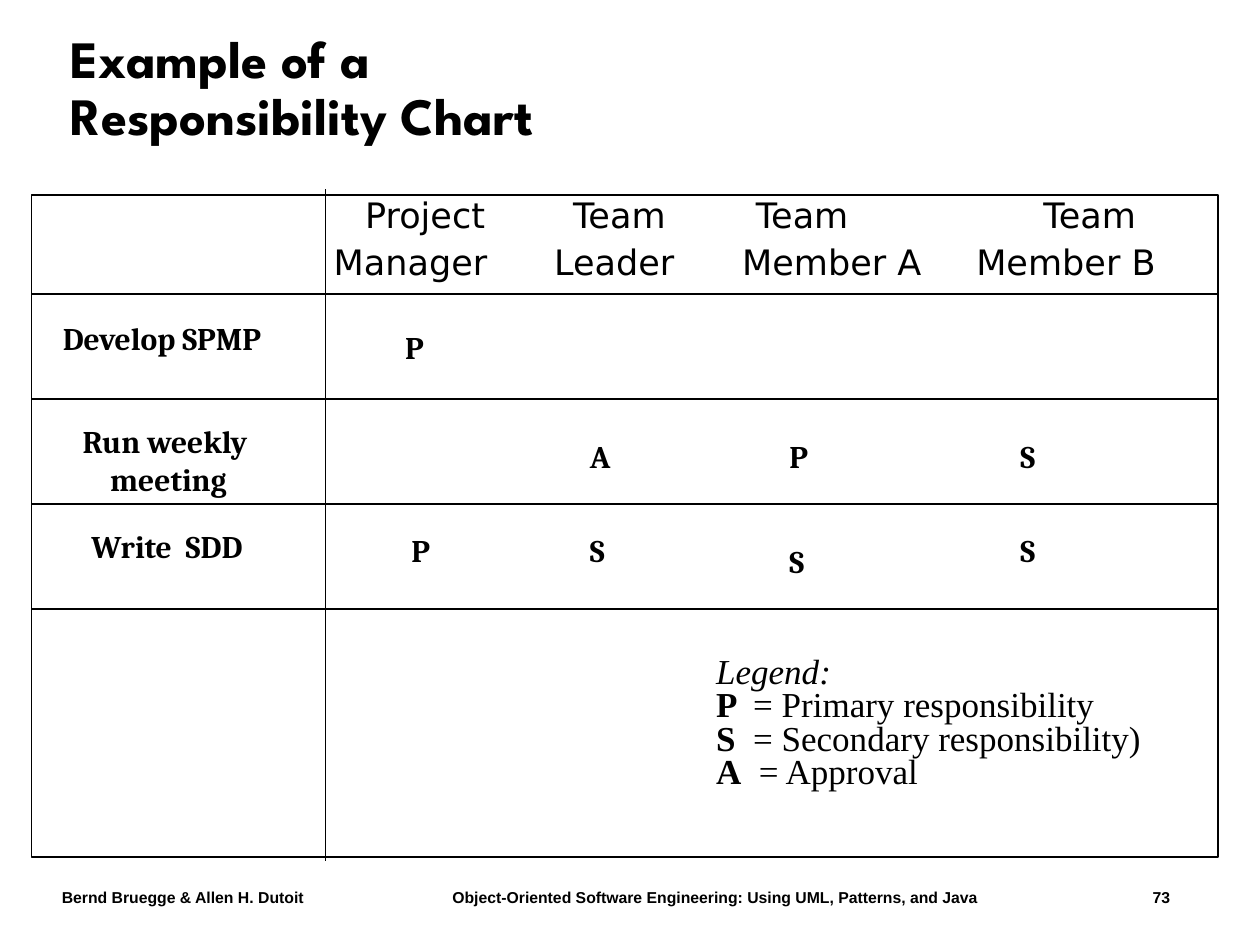
from lxml.etree import SubElement
from pptx import Presentation
from pptx.dml.color import RGBColor
from pptx.enum.shapes import MSO_CONNECTOR as Connector, MSO_SHAPE as Shape
from pptx.enum.text import MSO_ANCHOR as Anchor, MSO_AUTO_SIZE as AutoSize, PP_ALIGN as Align
from pptx.oxml.ns import qn
from pptx.util import Inches, Pt

BLACK = RGBColor(0, 0, 0)
SLIDE_W, SLIDE_H = Inches(10), Inches(7.5)
UNIT = SLIDE_W / 120  # the slide is a grid of 120 columns by 90 rows

TITLE_FONT = {"name": "League Spartan", "size": Pt(30), "bold": True}
HEADER_FONT = {"name": "DejaVu Sans", "size": Pt(20), "bold": False}
BODY_FONT = {"name": "Cambria", "size": Pt(18), "bold": True}
LEGEND_FONT = {"name": "Times New Roman", "size": Pt(20)}
FOOTER_FONT = {"name": "Arial", "size": Pt(9), "bold": True}
TIGHT = {"line_spacing": 0.8}

# Each heading line: its words and the columns where they start, from the text's edge
HEADINGS = [
    (("Project", "Team", "Team", "Team"), (30.6, 50.4, 67.8, 95.2)),
    (("Manager", "Leader", "Member A", "Member B"), (27.6, 48.6, 66.5, 88.8)),
]
ROW_LINES = (28, 38, 48, 58)
TASKS = [  # lines, column, row, width, height, alignment
    (["Develop SPMP"], 4.8, 29.8, 23.3, 4.8, Align.LEFT),
    (["Run weekly ", "meeting"], 6.2, 39.6, 19.7, 8.4, Align.CENTER),
    (["Write  SDD"], 6.7, 49.6, 18.4, 4.8, Align.CENTER),
]
MARKS = [  # letter, column, row
    ("P", 37.4, 30.7),
    ("A", 55, 41), ("P", 74, 41), ("S", 96, 41),
    ("P", 38, 50), ("S", 55, 50), ("S", 74, 51), ("S", 96, 50),
]
LEGEND = [("P ", " = Primary responsibility"),
          ("S ", " = Secondary responsibility)"),
          ("A", "  = Approval")]


def grid(*cells):
    return [round(cell * UNIT) for cell in cells]


def apply(target, values):
    for key, value in values.items():
        setattr(target, key, value)


def add_run(paragraph, text, font, **extra):
    run = paragraph.add_run()
    run.text = text
    apply(run.font, {**font, **extra})
    run.font.color.rgb = BLACK


def next_paragraph(frame, number, **values):
    paragraph = frame.add_paragraph() if number else frame.paragraphs[0]
    apply(paragraph, values)
    return paragraph


def set_tabs(paragraph, columns):
    tabs = SubElement(paragraph._p.get_or_add_pPr(), qn("a:tabLst"))
    for position in grid(*columns):
        SubElement(tabs, qn("a:tab"), pos=str(position), algn="l")


def add_text_box(slide, box, wrap=True):
    frame = slide.shapes.add_textbox(*grid(*box)).text_frame
    frame.word_wrap = wrap
    return frame


def add_label(slide, box, lines, align=Align.LEFT):
    frame = add_text_box(slide, box, wrap=False)
    for number, line in enumerate(lines):
        add_run(next_paragraph(frame, number, alignment=align), line, BODY_FONT)


def add_rule(slide, start, end):
    rule = slide.shapes.add_connector(Connector.STRAIGHT, *grid(*start, *end))
    rule.line.color.rgb = BLACK
    rule.line.width = Pt(1)
    SubElement(rule._element.spPr, qn("a:effectLst"))


def add_title(slide, box):
    title = slide.shapes.title
    apply(title, dict(zip(("left", "top", "width", "height"), grid(*box))))
    frame = title.text_frame
    apply(frame, {"auto_size": AutoSize.NONE, "vertical_anchor": Anchor.MIDDLE,
                  "word_wrap": True})
    frame.text = "Example of a \vResponsibility Chart"
    paragraph = frame.paragraphs[0]
    apply(paragraph, {"alignment": Align.LEFT, "line_spacing": 0.9})
    for run in paragraph.runs:
        apply(run.font, TITLE_FONT)
        run.font.color.rgb = BLACK


def add_chart_frame(slide, box):
    left, top, width, height = box
    outline = slide.shapes.add_shape(Shape.RECTANGLE, *grid(*box))
    outline.shadow.inherit = False
    outline.fill.background()
    outline.line.color.rgb = BLACK
    outline.line.width = Pt(1)

    # Column headings
    frame = outline.text_frame
    frame.vertical_anchor = Anchor.TOP
    for number, (words, columns) in enumerate(HEADINGS):
        paragraph = next_paragraph(frame, number, alignment=Align.LEFT,
                                   space_before=Pt(7.5), **TIGHT)
        set_tabs(paragraph, columns)
        add_run(paragraph, "\t" + "\t".join(words), HEADER_FONT)

    # Task column edge and row lines
    edge = left + 28
    add_rule(slide, (edge, top - 0.6), (edge, top + height + 0.4))
    for row in ROW_LINES:
        add_rule(slide, (left, row), (left + width, row))


def add_assignments(slide):
    for lines, column, row, width, height, align in TASKS:
        add_label(slide, (column, row, width, height), lines, align)
    for letter, column, row in MARKS:
        add_label(slide, (column, row, 4.2, 4.8), [letter])


def add_legend(slide, box):
    frame = add_text_box(slide, box)
    frame.margin_left = Inches(0.6)
    add_run(next_paragraph(frame, 0, **TIGHT), "Legend:", LEGEND_FONT, italic=True)
    for number, (letter, meaning) in enumerate(LEGEND, 1):
        paragraph = next_paragraph(frame, number, **TIGHT)
        add_run(paragraph, letter, LEGEND_FONT, bold=True)
        add_run(paragraph, meaning, LEGEND_FONT)


def add_footer(slide, box):
    paragraph = add_text_box(slide, box).paragraphs[0]
    set_tabs(paragraph, (37.2, 103.9))
    parts = ("Bernd Bruegge & Allen H. Dutoit",
             "Object-Oriented Software Engineering: Using UML, Patterns, and Java",
             "73")
    add_run(paragraph, "\t".join(parts), FOOTER_FONT)


def main():
    deck = Presentation()
    apply(deck, {"slide_width": SLIDE_W, "slide_height": SLIDE_H})
    slide = deck.slides.add_slide(deck.slide_layouts.get_by_name("Title Only"))
    add_footer(slide, (4.7, 84, 110, 3))
    add_title(slide, (5.5, 2.9, 107, 11.3))
    add_chart_frame(slide, (3, 18.6, 113, 63))
    add_assignments(slide)
    add_legend(slide, (61, 62, 51, 18))
    deck.save("out.pptx")


if __name__ == "__main__":
    main()
